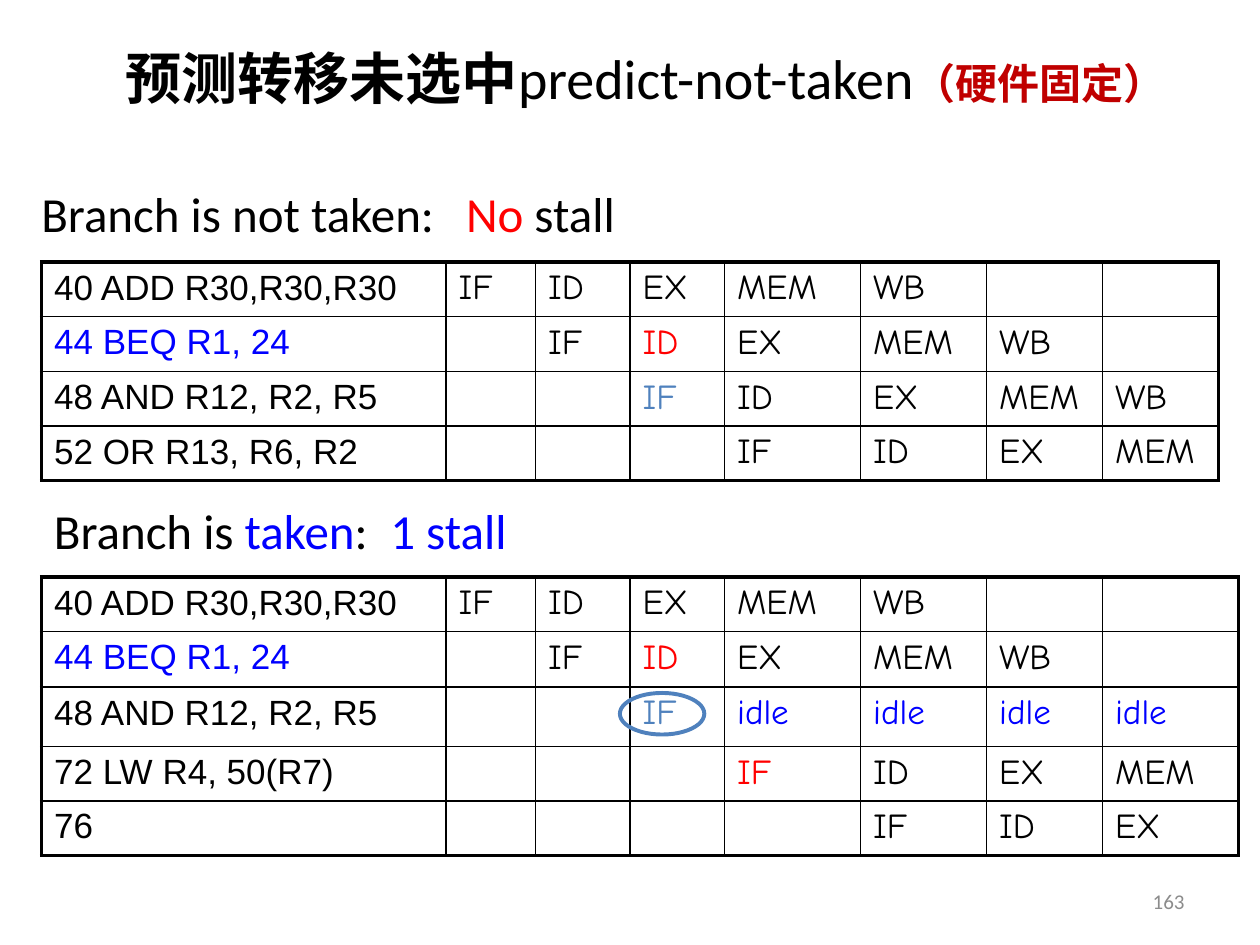
from lxml.etree import SubElement
from pptx import Presentation
from pptx.dml.color import RGBColor
from pptx.enum.shapes import MSO_SHAPE
from pptx.enum.text import MSO_ANCHOR as ANCHOR, PP_ALIGN as ALIGN
from pptx.oxml.ns import qn
from pptx.util import Inches, Pt

BLACK = RGBColor(0x00, 0x00, 0x00)
WHITE = RGBColor(0xFF, 0xFF, 0xFF)
RED = RGBColor(0xFF, 0x00, 0x00)
DARK_RED = RGBColor(0xC0, 0x00, 0x00)
BLUE = RGBColor(0x00, 0x00, 0xFF)
STEEL = RGBColor(0x4F, 0x81, 0xBD)
GRAY = RGBColor(0x8C, 0x8C, 0x8C)

THIN, THICK = Pt(1), Pt(2.25)
SHADED_ROW = 2

# Each row: instruction, its colour, first cycle, stages, colours of single stages
ADD = ("40 ADD R30,R30,R30", BLACK, 1, "IF ID EX MEM WB", {})
BEQ = ("44 BEQ R1, 24", BLUE, 2, "IF ID EX MEM WB", {1: RED})
AND = "48 AND R12, R2, R5"
NOT_TAKEN = [
    ADD,
    BEQ,
    (AND, BLACK, 3, "IF ID EX MEM WB", {0: STEEL}),
    ("52 OR R13, R6, R2", BLACK, 4, "IF ID EX MEM", {}),
]
TAKEN = [
    ADD,
    BEQ,
    (AND, BLACK, 3, "IF idle idle idle idle", {0: STEEL, 1: BLUE, 2: BLUE, 3: BLUE, 4: BLUE}),
    ("72 LW R4, 50(R7)", BLACK, 4, "IF ID EX MEM", {0: RED}),
    ("76", BLACK, 5, "IF ID EX", {}),
]
COLUMNS = [3.21, 0.71, 0.75, 0.75, 1.08, 1, 0.92]


def add_run(p, text, **formats):
    r = p.add_run()
    r.text = text
    color = formats.pop("color", BLACK)
    for name, value in formats.items():
        setattr(r.font, name, value)
    r.font.color.rgb = color


def add_text(slide, box, runs, size, align=ALIGN.LEFT, anchor=ANCHOR.TOP, tab=None):
    """Add one line of (text, formats) runs, with an optional tab stop in inches."""
    tf = slide.shapes.add_textbox(*map(Inches, box)).text_frame
    tf.word_wrap = True
    tf.vertical_anchor = anchor
    p = tf.paragraphs[0]
    p.alignment = align
    if tab:
        stops = SubElement(p._p.get_or_add_pPr(), qn("a:tabLst"))
        SubElement(stops, qn("a:tab"), pos=str(Inches(tab)), algn="l")
    for text, formats in runs:
        add_run(p, text, **{"size": Pt(size), "name": "Calibri", **formats})


def set_borders(cell, widths):
    tc_pr = cell._tc.get_or_add_tcPr()
    for side, width in widths.items():
        ln = SubElement(tc_pr, qn(f"a:ln{side}"), w=str(width))
        fill = SubElement(ln, qn("a:solidFill"))
        SubElement(fill, qn("a:srgbClr"), val=str(BLACK))


def add_pipeline(slide, left, top, last_column, heights, rows):
    """Add a table of instructions against clock cycles, framed by thick lines."""
    columns = COLUMNS + [last_column]
    box = (left, top, sum(columns), sum(heights))
    table = slide.shapes.add_table(len(rows), len(columns), *map(Inches, box)).table
    table.first_row = table.horz_banding = False
    for column, width in zip(table.columns, columns):
        column.width = Inches(width)
    for row, height in zip(table.rows, heights):
        row.height = Inches(height)

    last_row, last_col = len(rows) - 1, len(columns) - 1
    for i, (label, label_color, start, stages, colors) in enumerate(rows):
        for j in range(len(columns)):
            cell = table.cell(i, j)
            set_borders(cell, {
                "L": THICK if j == 0 else THIN,
                "R": THICK if j == last_col else THIN,
                "T": THICK if i == 0 else THIN,
                "B": THICK if i == last_row else THIN,
            })
            if i == SHADED_ROW:
                cell.fill.solid()
                cell.fill.fore_color.rgb = WHITE
            else:
                cell.fill.background()
        add_run(table.cell(i, 0).text_frame.paragraphs[0], label,
                size=Pt(20), name="Arial", color=label_color)
        for k, stage in enumerate(stages.split()):
            add_run(table.cell(i, start + k).text_frame.paragraphs[0], stage,
                    size=Pt(20), name="Comic Neue", color=colors.get(k, BLACK))


def add_ring(slide, box):
    sp = slide.shapes.add_shape(MSO_SHAPE.OVAL, *map(Inches, box))
    sp.shadow.inherit = False
    sp.fill.background()
    sp.line.color.rgb = STEEL
    sp.line.width = THICK


def main():
    prs = Presentation()
    prs.slide_width, prs.slide_height = Inches(10), Inches(7.5)
    slide = prs.slides.add_slide(prs.slide_layouts[6])

    add_text(slide, (0.5, -0.01, 9.25, 1.25), [
        ("预测转移未选中", {"bold": True}),
        ("predict-not-taken", {}),
        ("（硬件固定）", {"bold": True, "size": Pt(24), "color": DARK_RED}),
    ], 32, ALIGN.CENTER, ANCHOR.MIDDLE)

    add_text(slide, (0.23, 1.41, 5.59, 0.57), [
        ("Branch is not taken:\t", {}), ("No", {"color": RED}), (" stall", {}),
    ], 28, tab=3.37)
    add_pipeline(slide, 0.33, 2.08, 0.92, [0.42] * 4, NOT_TAKEN)

    add_text(slide, (0.33, 3.92, 4.92, 0.57), [
        ("Branch is ", {}), ("taken", {"color": BLUE}), (":\t", {}),
        ("1 stall", {"color": BLUE}),
    ], 28, tab=2.67)
    add_pipeline(slide, 0.33, 4.58, 1.08, [0.43, 0.44, 0.47, 0.43, 0.43], TAKEN)
    add_ring(slide, (4.92, 5.5, 0.67, 0.33))

    add_text(slide, (7.17, 6.95, 2.33, 0.4), [("163", {"color": GRAY})],
             12, ALIGN.RIGHT, ANCHOR.MIDDLE)
    prs.save("out.pptx")


if __name__ == "__main__":
    main()
